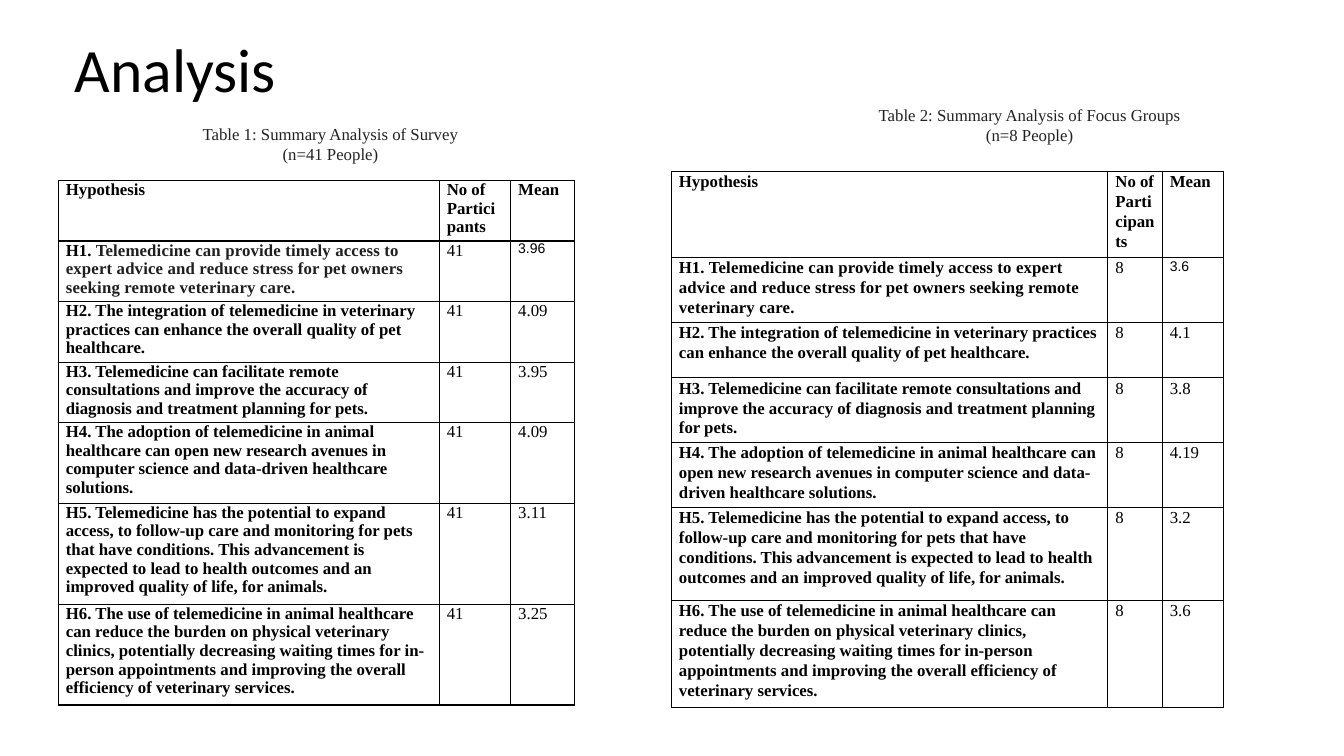
from lxml.etree import SubElement
from pptx import Presentation
from pptx.dml.color import RGBColor
from pptx.enum.text import MSO_ANCHOR, PP_ALIGN
from pptx.oxml import parse_xml
from pptx.oxml.ns import nsdecls
from pptx.util import Cm, Pt


def write(paragraph, text, font="Times New Roman", size=12, color="000000",
          bold=False, tracking=0, align=PP_ALIGN.LEFT, line=1.0, after=0):
    """Append a formatted run and set the spacing of its paragraph."""
    paragraph.alignment = align
    paragraph.line_spacing = line
    paragraph.space_before = Pt(0)
    paragraph.space_after = Pt(after)
    run = paragraph.add_run()
    run.text = text
    run.font.name = font
    run.font.size = Pt(size)
    run.font.bold = bold
    run.font.color.rgb = RGBColor.from_string(color)
    if tracking:
        run.font._element.set("spc", str(round(tracking * 100)))


def draw_borders(cell, color="000000", width=1):
    """Give a cell a solid line on each side."""
    properties = cell._tc.get_or_add_tcPr()
    for position, side in enumerate(("lnL", "lnR", "lnT", "lnB")):
        border = parse_xml(f'<a:{side} {nsdecls("a")} w="{Pt(width)}"/>')
        namespace = border.nsmap["a"]
        fill = SubElement(border, f"{{{namespace}}}solidFill")
        SubElement(fill, f"{{{namespace}}}srgbClr", val=color)
        properties.insert(position, border)


HEADERS = ["Hypothesis", "No of Participants", "Mean"]
HYPOTHESES = [
    "Telemedicine can provide timely access to expert advice and reduce stress "
    "for pet owners seeking remote veterinary care.",
    "The integration of telemedicine in veterinary practices can enhance the "
    "overall quality of pet healthcare.",
    "Telemedicine can facilitate remote consultations and improve the accuracy "
    "of diagnosis and treatment planning for pets.",
    "The adoption of telemedicine in animal healthcare can open new research "
    "avenues in computer science and data-driven healthcare solutions.",
    "Telemedicine has the potential to expand access, to follow-up care and "
    "monitoring for pets that have conditions. This advancement is expected to "
    "lead to health outcomes and an improved quality of life, for animals.",
    "The use of telemedicine in animal healthcare can reduce the burden on "
    "physical veterinary clinics, potentially decreasing waiting times for "
    "in-person appointments and improving the overall efficiency of veterinary "
    "services.",
]
STUDIES = [
    {
        "caption": "Table 1: Summary Analysis of Survey",
        "caption_box": (4.52, 3, 7.62, 2.06),
        "position": (1.47, 4.55),
        "columns": [9.6, 1.8, 1.6],
        "rows": [0.97, 1.35, 1.19, 1.19, 1.7, 2.01, 2.18],
        "participants": 41,
        "means": ["3.96", "4.09", "3.95", "4.09", "3.11", "3.25"],
        "first_color": "1F1F1F",
        "spacing": {"line": 1.0, "after": 0},
    },
    {
        "caption": "Table 2: Summary Analysis of Focus Groups",
        "caption_box": (20.45, 2.51, 11, 1.8),
        "position": (16.92, 4.32),
        "columns": [11, 1.37, 1.55],
        "rows": [2.01, 1.5, 1.4, 1.5, 1.52, 2.34, 2.34],
        "participants": 8,
        "means": ["3.6", "4.1", "3.8", "4.19", "3.2", "3.6"],
        "first_color": "000000",
        "spacing": {"line": 1.07, "after": 8},
    },
]

presentation = Presentation()
presentation.slide_width = Cm(33.87)
presentation.slide_height = Cm(19.05)
slide = presentation.slides.add_slide(presentation.slide_layouts[5])

# Title
title = slide.shapes.title
title.left, title.top, title.width, title.height = Cm(1.63), Cm(0), Cm(29.21), Cm(3.68)
title.text_frame.vertical_anchor = MSO_ANCHOR.MIDDLE
write(title.text_frame.paragraphs[0], "Analysis", font="Calibri", size=44, line=0.9)

for study in STUDIES:
    # Caption
    caption = slide.shapes.add_textbox(*[Cm(length) for length in study["caption_box"]])
    frame = caption.text_frame
    frame.word_wrap = True
    frame.add_paragraph()
    lines = [study["caption"], f"(n={study['participants']} People)"]
    for paragraph, text in zip(frame.paragraphs, lines):
        write(paragraph, text, color="222222", align=PP_ALIGN.CENTER)

    # Table grid
    left, top = study["position"]
    columns, rows = study["columns"], study["rows"]
    table = slide.shapes.add_table(
        len(rows), len(columns), Cm(left), Cm(top), Cm(sum(columns)), Cm(sum(rows))
    ).table
    table.first_row = table.horz_banding = False
    for column, width in zip(table.columns, columns):
        column.width = Cm(width)
    for row, height in zip(table.rows, rows):
        row.height = Cm(height)
    for cell in table.iter_cells():
        cell.margin_left = cell.margin_right = Cm(0.19)
        cell.margin_top = cell.margin_bottom = Cm(0)
        cell.fill.background()
        draw_borders(cell)

    # Header row
    spacing = study["spacing"]
    for index, header in enumerate(HEADERS):
        paragraph = table.cell(0, index).text_frame.paragraphs[0]
        write(paragraph, header, bold=True, **spacing)

    # One row per hypothesis; the first has its own lettering
    for number, (hypothesis, mean) in enumerate(zip(HYPOTHESES, study["means"]), start=1):
        first = number == 1
        statement, count, score = [
            table.cell(number, index).text_frame.paragraphs[0] for index in range(3)
        ]
        write(statement, f"H{number}. ", bold=True, **spacing)
        write(statement, hypothesis, bold=True, tracking=0.1 if first else 0,
              color=study["first_color"] if first else "000000", **spacing)
        write(count, str(study["participants"]), **spacing)
        write(score, mean, font="Arial" if first else "Times New Roman",
              size=10 if first else 12, **spacing)

presentation.save("out.pptx")
